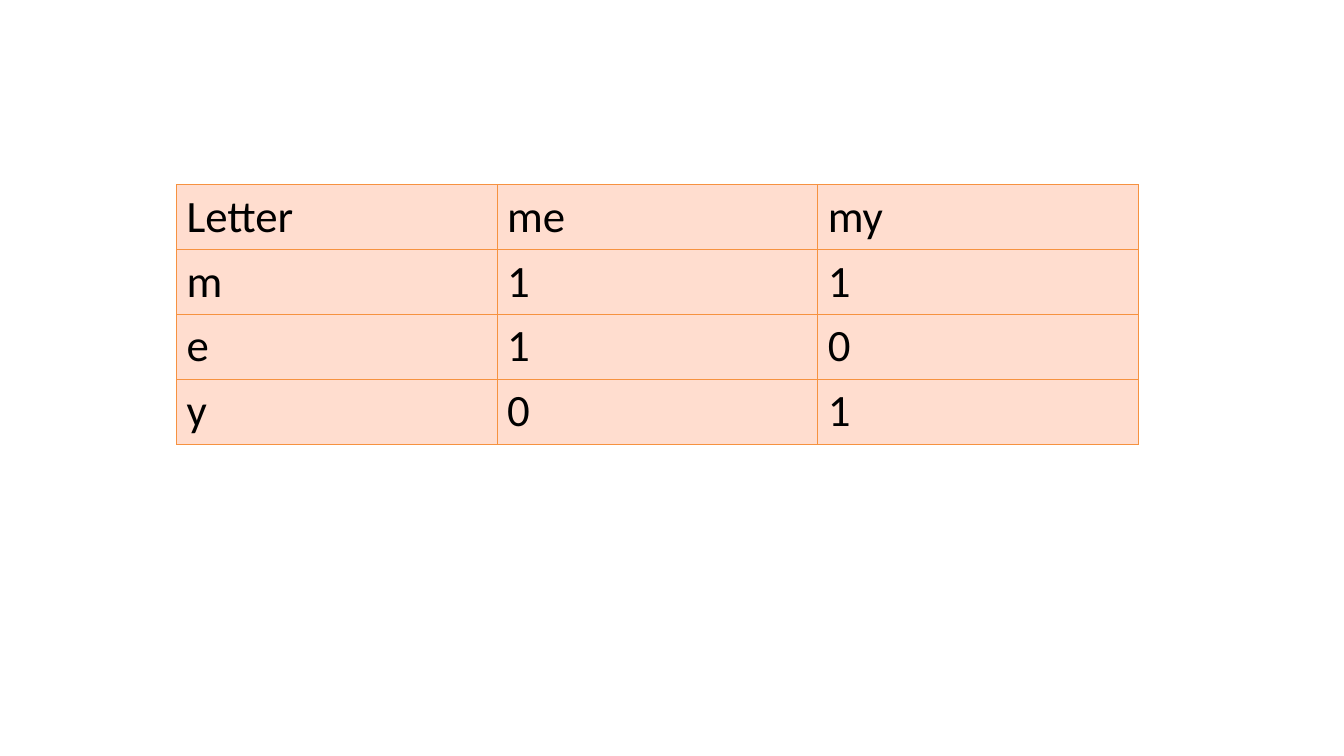
import pptx
import pptx.dml.color
import pptx.enum.text
import pptx.oxml
import pptx.oxml.ns
import pptx.util
from pptx.util import Inches

HUES = {"fill": "FFDDCF", "edge": "F69240", "text": "000000"}
ROWS = [
    ["Letter", "me", "my"],
    ["m", "1", "1"],
    ["e", "1", "0"],
    ["y", "0", "1"],
]


def hue(name):
    return pptx.dml.color.RGBColor.from_string(HUES[name])


class Deck:
    """Holds the text style and the current slide."""

    def __init__(self, slide, font, size):
        self.slide = slide
        self.font = font
        self.size = pptx.util.Pt(size)

    def table(self, rows, left, top, wide, high):
        """Add a table with columns and rows of equal size."""
        shape = self.slide.shapes.add_table(
            len(rows), len(rows[0]), Inches(left), Inches(top),
            Inches(wide * len(rows[0])), Inches(high * len(rows)))
        grid = shape.table
        grid.first_row = grid.horz_banding = False
        for col in grid.columns:
            col.width = Inches(wide)
        for r, row in enumerate(rows):
            grid.rows[r].height = Inches(high)
            for c, text in enumerate(row):
                self.cell(grid.cell(r, c), text)

    def cell(self, cell, text):
        cell.text = text
        cell.vertical_anchor = pptx.enum.text.MSO_ANCHOR.MIDDLE
        font = cell.text_frame.paragraphs[0].font
        font.name = self.font
        font.size = self.size
        font.bold = False
        font.color.rgb = hue("text")
        cell.fill.solid()
        cell.fill.fore_color.rgb = hue("fill")
        self.edges(cell, 0.75)

    def edges(self, cell, width):
        """Draw all four borders; they must come before the fill."""
        props = cell._tc.get_or_add_tcPr()
        space = pptx.oxml.ns.nsdecls("a")
        for i, side in enumerate("LRTB"):
            props.insert(i, pptx.oxml.parse_xml(
                f'<a:ln{side} {space} w="{pptx.util.Pt(width)}"><a:solidFill>'
                f'<a:srgbClr val="{HUES["edge"]}"/></a:solidFill></a:ln{side}>'))


def main():
    # Blank slide
    show = pptx.Presentation()
    show.slide_width = Inches(13.33)
    show.slide_height = Inches(7.5)
    slide = show.slides.add_slide(show.slide_layouts[6])

    # Letter counts for each word
    deck = Deck(slide, "Calibri", 32)
    deck.table(ROWS, left=1.75, top=1.83, wide=3.18, high=0.63)

    show.save("out.pptx")


if __name__ == "__main__":
    main()
